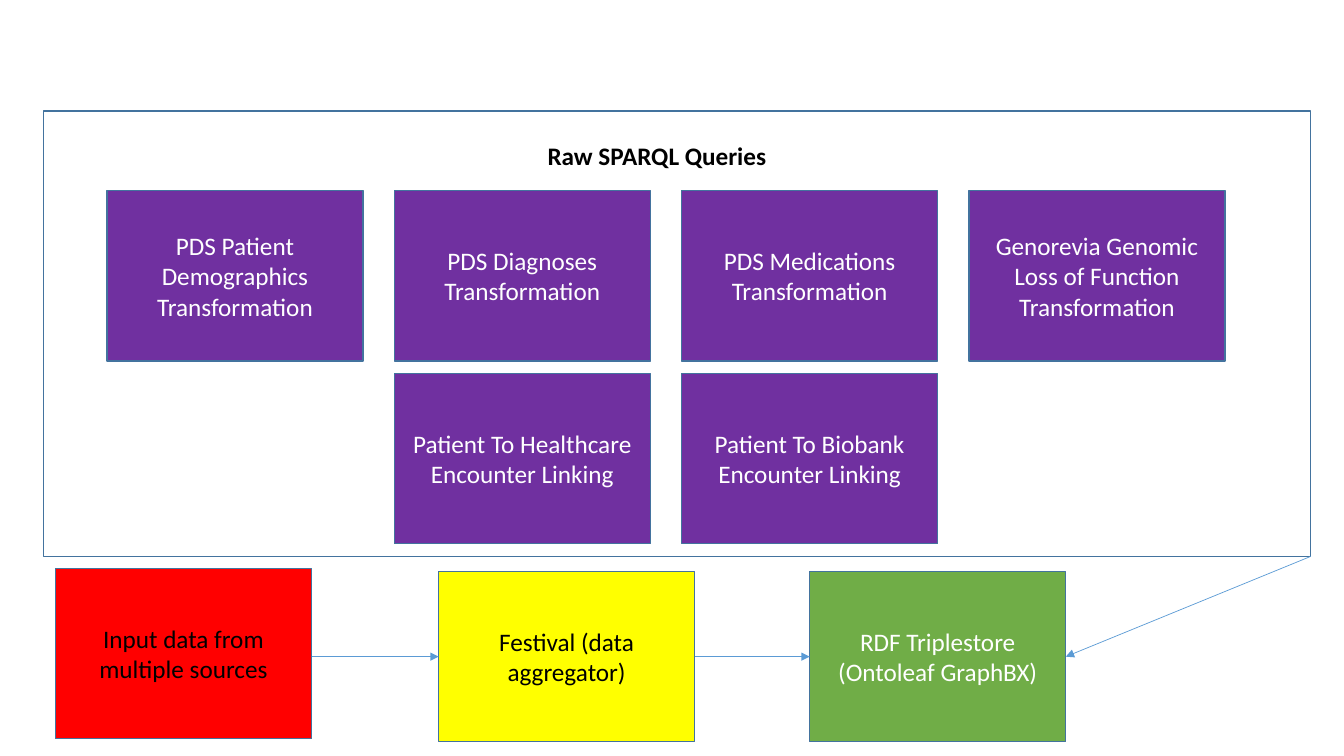
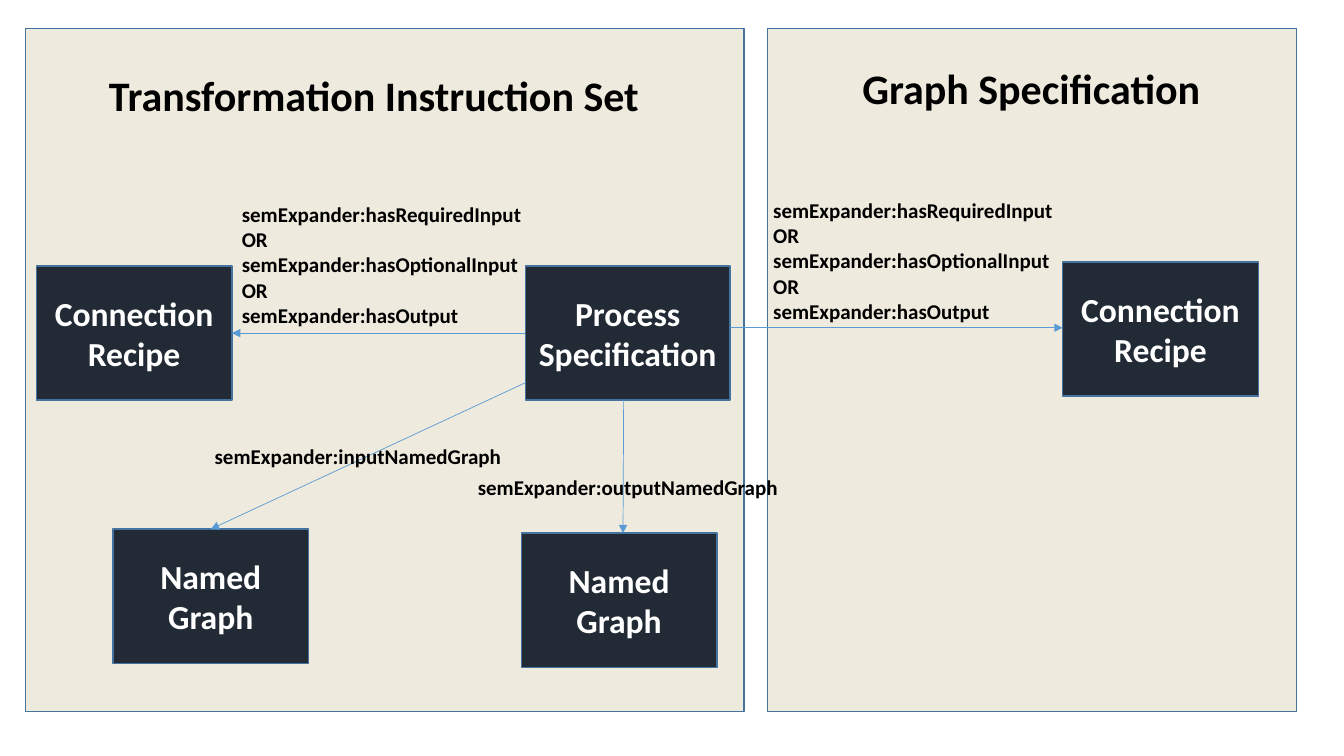
from dataclasses import dataclass
from itertools import pairwise

from pptx import Presentation
from pptx.dml.color import RGBColor
from pptx.enum.shapes import MSO_CONNECTOR, MSO_SHAPE
from pptx.enum.text import MSO_ANCHOR, MSO_AUTO_SIZE, PP_ALIGN
from pptx.oxml.ns import qn
from pptx.oxml.xmlchemy import OxmlElement
from pptx.util import Inches, Pt

BLACK = RGBColor(0x00, 0x00, 0x00)
WHITE = RGBColor(0xFF, 0xFF, 0xFF)
PURPLE = RGBColor(0x70, 0x30, 0xA0)
RED = RGBColor(0xFF, 0x00, 0x00)
YELLOW = RGBColor(0xFF, 0xFF, 0x00)
GREEN = RGBColor(0x70, 0xAD, 0x47)
NAVY = RGBColor(0x22, 0x2A, 0x35)
OLIVE = RGBColor(0x80, 0x60, 0x00)
EDGE = RGBColor(0x43, 0x73, 0x9E)
ARROW = RGBColor(0x5B, 0x9B, 0xD5)

STEP_TEXT = {"size": Pt(18), "bold": False}
NODE_TEXT = {"size": Pt(24), "bold": True}
LABEL_TEXT = {"size": Pt(15), "bold": True}
SMALL_TITLE = {"size": Pt(18), "bold": True}
LARGE_TITLE = {"size": Pt(30), "bold": True}

NODE_HEIGHT = 19.62
ROLES = [
    "semExpander:hasRequiredInput",
    "OR",
    "semExpander:hasOptionalInput",
    "OR",
    "semExpander:hasOutput",
]


@dataclass
class Box:
    """A rectangle in inches whose inner boxes are given as percentages of it."""

    left: float
    top: float
    width: float
    height: float

    def inner(self, left, top, width, height):
        """Return the inner box at the given percentages."""
        return Box(
            self.left + self.width * left / 100,
            self.top + self.height * top / 100,
            self.width * width / 100,
            self.height * height / 100,
        )

    def point(self, across, down):
        """Return the point at the given fractions of the box."""
        return self.left + self.width * across, self.top + self.height * down

    def place(self):
        """Return left, top, width and height as slide lengths."""
        return [Inches(n) for n in (self.left, self.top, self.width, self.height)]


SLIDE = Box(0, 0, 13.33, 7.5)


def write(shape, lines, style, color=BLACK, align=PP_ALIGN.LEFT,
          anchor=MSO_ANCHOR.TOP, wrap=True):
    """Fill a shape with one formatted paragraph for each line."""
    frame = shape.text_frame
    settings = {
        "auto_size": MSO_AUTO_SIZE.NONE,
        "word_wrap": wrap,
        "vertical_anchor": anchor,
    }
    for name, value in settings.items():
        setattr(frame, name, value)
    frame.text = "\n".join(lines)
    for para in frame.paragraphs:
        para.alignment = align
        for span in para.runs:
            for name, value in {"name": "Calibri", **style}.items():
                setattr(span.font, name, value)
            span.font.color.rgb = color


def add_title(page, box, text, style, wrap=True):
    """Move the title placeholder to the front and write the title."""
    title = page.shapes.title
    page.shapes._spTree.append(title._element)
    for name, value in zip(("left", "top", "width", "height"), box.place()):
        setattr(title, name, value)
    write(title, [text], style, wrap=wrap)


def add_label(page, box, lines, style=LABEL_TEXT, align=PP_ALIGN.LEFT):
    """Add plain text in a box."""
    write(page.shapes.add_textbox(*box.place()), lines, style, align=align)


def add_panel(page, box, fill=None, opacity=100):
    """Add an outlined rectangle, filled when a colour is given."""
    panel = page.shapes.add_shape(MSO_SHAPE.RECTANGLE, *box.place())
    panel.shadow.inherit = False
    panel.line.color.rgb = EDGE
    panel.line.width = Pt(1)
    if fill is None:
        panel.fill.background()
    else:
        panel.fill.solid()
        panel.fill.fore_color.rgb = fill
    if opacity < 100:
        alpha = OxmlElement("a:alpha")
        alpha.set("val", str(opacity * 1000))
        panel._element.spPr.find(qn("a:solidFill"))[0].append(alpha)
    return panel


def add_card(page, box, text, fill, style, color=WHITE):
    """Add a filled rectangle with centred text and return its box."""
    write(add_panel(page, box, fill), [text], style, color,
          PP_ALIGN.CENTER, MSO_ANCHOR.MIDDLE)
    return box


def add_arrow(page, start, end):
    """Draw a thin arrow between two points."""
    ends = [Inches(n) for n in (*start, *end)]
    arrow = page.shapes.add_connector(MSO_CONNECTOR.STRAIGHT, *ends)
    arrow.line.color.rgb = ARROW
    arrow.line.width = Pt(0.5)
    tip = OxmlElement("a:tailEnd")
    tip.set("type", "triangle")
    arrow.line._get_or_add_ln().append(tip)
    arrow._element.spPr.append(OxmlElement("a:effectLst"))


def draw_queries(page, region):
    """Draw the outlined panel with its grid of query cards."""
    add_panel(page, region)
    add_title(page, region.inner(38.98, 5.43, 19.01, 9.05),
              "Raw SPARQL Queries", SMALL_TITLE, wrap=False)
    cards = [
        (0, 0, "PDS Patient Demographics Transformation"),
        (1, 0, "PDS Diagnoses Transformation"),
        (2, 0, "PDS Medications Transformation"),
        (3, 0, "Genorevia Genomic Loss of Function Transformation"),
        (1, 1, "Patient To Healthcare Encounter Linking"),
        (2, 1, "Patient To Biobank Encounter Linking"),
    ]
    for column, row, text in cards:
        box = region.inner(5.01 + 22.67 * column, 17.87 + 41.06 * row, 20.21, 38.24)
        add_card(page, box, text, PURPLE, STEP_TEXT)


def draw_pipeline(page, region):
    """Draw the row of processing steps and return the last box."""
    steps = [
        (0, 0, "Input data from multiple sources", RED, BLACK),
        (37.92, 1.74, "Festival (data aggregator)", YELLOW, BLACK),
        (74.65, 1.74, "RDF Triplestore (Ontoleaf GraphBX)", GREEN, WHITE),
    ]
    boxes = [
        add_card(page, region.inner(left, top, 25.35, 98.26), text, fill,
                 STEP_TEXT, color)
        for left, top, text, fill, color in steps
    ]
    for source, target in pairwise(boxes):
        end = target.point(0, 0.5)
        add_arrow(page, (source.point(1, 0)[0], end[1]), end)
    return boxes[-1]


def draw_instructions(page, region):
    """Draw the instruction set and return the process box."""
    add_title(page, region.inner(10.24, 5.31, 79.52, 9),
              "Transformation Instruction Set", LARGE_TITLE)
    nodes = [
        (69.57, 34.81, 28.47, "Process Specification"),
        (1.54, 34.81, 27.21, "Connection Recipe"),
        (12.2, 73.3, 27.21, "Named Graph"),
        (69, 73.89, 27.21, "Named Graph"),
    ]
    process, recipe, source, result = [
        add_card(page, region.inner(left, top, width, NODE_HEIGHT), text, NAVY, NODE_TEXT)
        for left, top, width, text in nodes
    ]
    add_arrow(page, process.point(0, 0.5), recipe.point(1, 0.5))
    add_arrow(page, process.point(0, 0.87), source.point(0.5, 0))
    add_arrow(page, process.point(0.48, 1), result.point(0.52, 0))
    add_label(page, region.inner(28.75, 24.63, 55.26, 20.06), ROLES)
    add_label(page, region.inner(24.96, 60.03, 69.28, 5.16), ["semExpander:inputNamedGraph"])
    add_label(page, region.inner(61.57, 64.6, 69.28, 5.16), ["semExpander:outputNamedGraph"])
    return process


def draw_graph(page, region, process):
    """Draw the graph specification and its link from the process."""
    add_label(page, region.inner(4.38, 4.28, 91.05, 9), ["Graph Specification"],
              LARGE_TITLE, PP_ALIGN.CENTER)
    box = region.inner(55.81, 34.22, 36.95, NODE_HEIGHT)
    recipe = add_card(page, box, "Connection Recipe", NAVY, NODE_TEXT)
    add_arrow(page, process.point(1, 0.46), recipe.point(0, 0.49))
    add_label(page, region.inner(-0.76, 24.04, 75.05, 20.06), ROLES)


def build_overview(page):
    """Build the slide with the queries above the pipeline."""
    queries = SLIDE.inner(3.23, 14.67, 94.3, 58.93)
    draw_queries(page, queries)
    store = draw_pipeline(page, SLIDE.inner(4.13, 75.2, 75.17, 22.93))
    add_arrow(page, queries.point(1, 1), store.point(1, 0.5))


def build_specification(page):
    """Build the slide with the instruction set beside the graph."""
    regions = [SLIDE.inner(left, 3.73, width, 90.4)
               for left, width in ((1.88, 53.49), (57.09, 39.38))]
    for region in regions:
        add_panel(page, region, OLIVE, opacity=13)
    process = draw_instructions(page, regions[0])
    draw_graph(page, regions[1], process)


def main():
    """Build and save the deck."""
    deck = Presentation()
    deck.slide_width = Inches(SLIDE.width)
    deck.slide_height = Inches(SLIDE.height)
    title_only = deck.slide_layouts[5]
    for build in (build_overview, build_specification):
        build(deck.slides.add_slide(title_only))
    deck.save("out.pptx")


if __name__ == "__main__":
    main()
